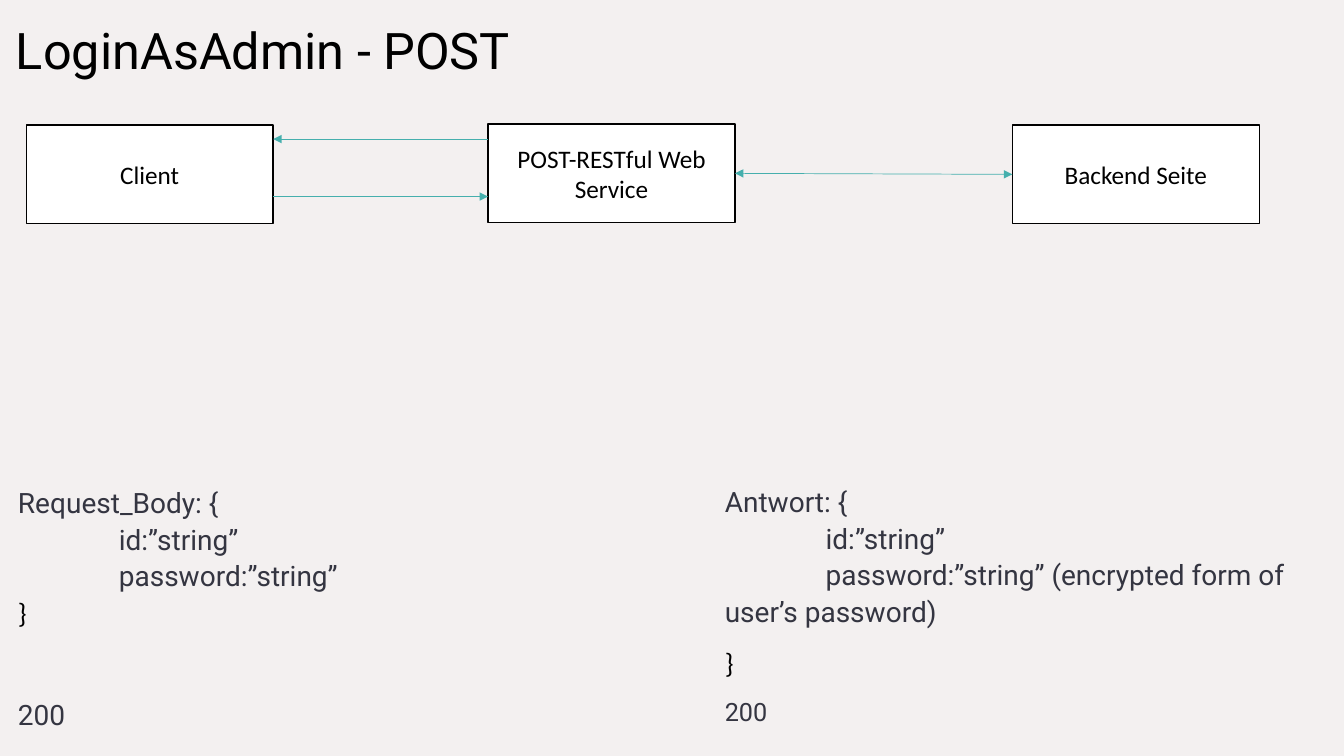
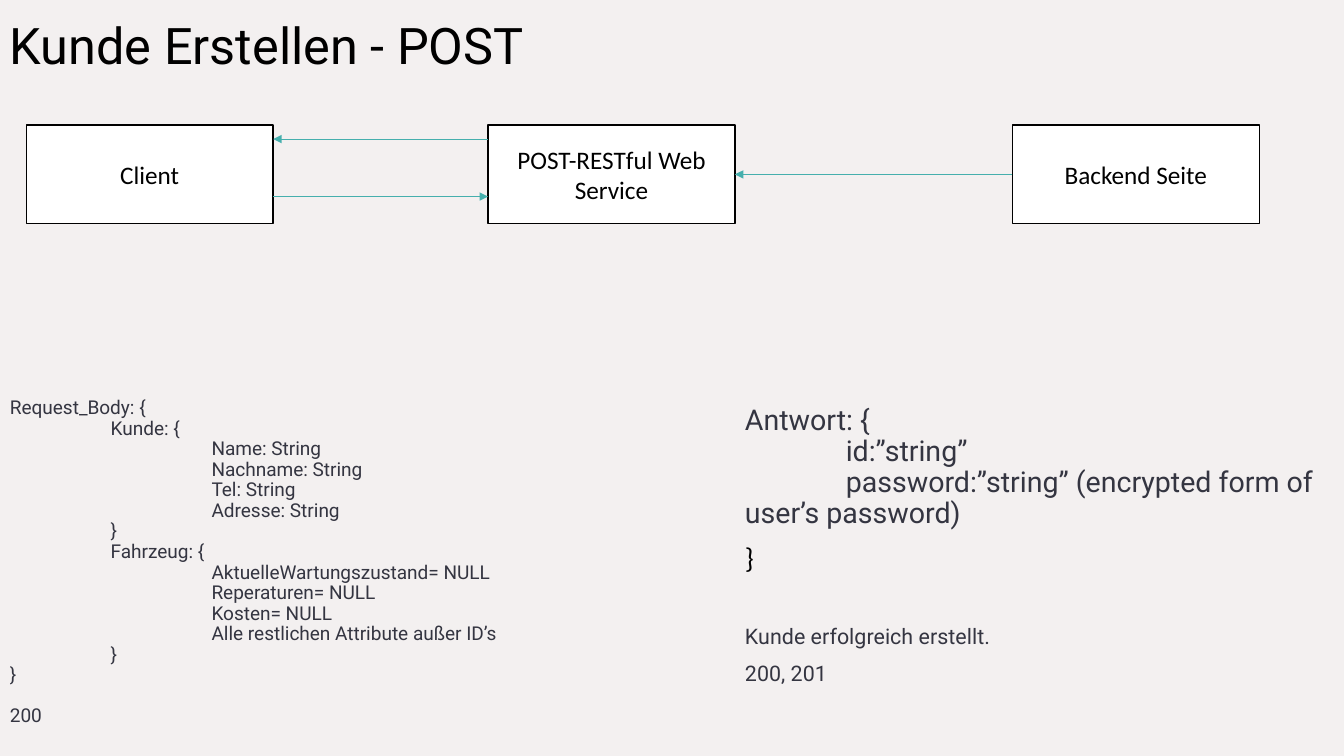
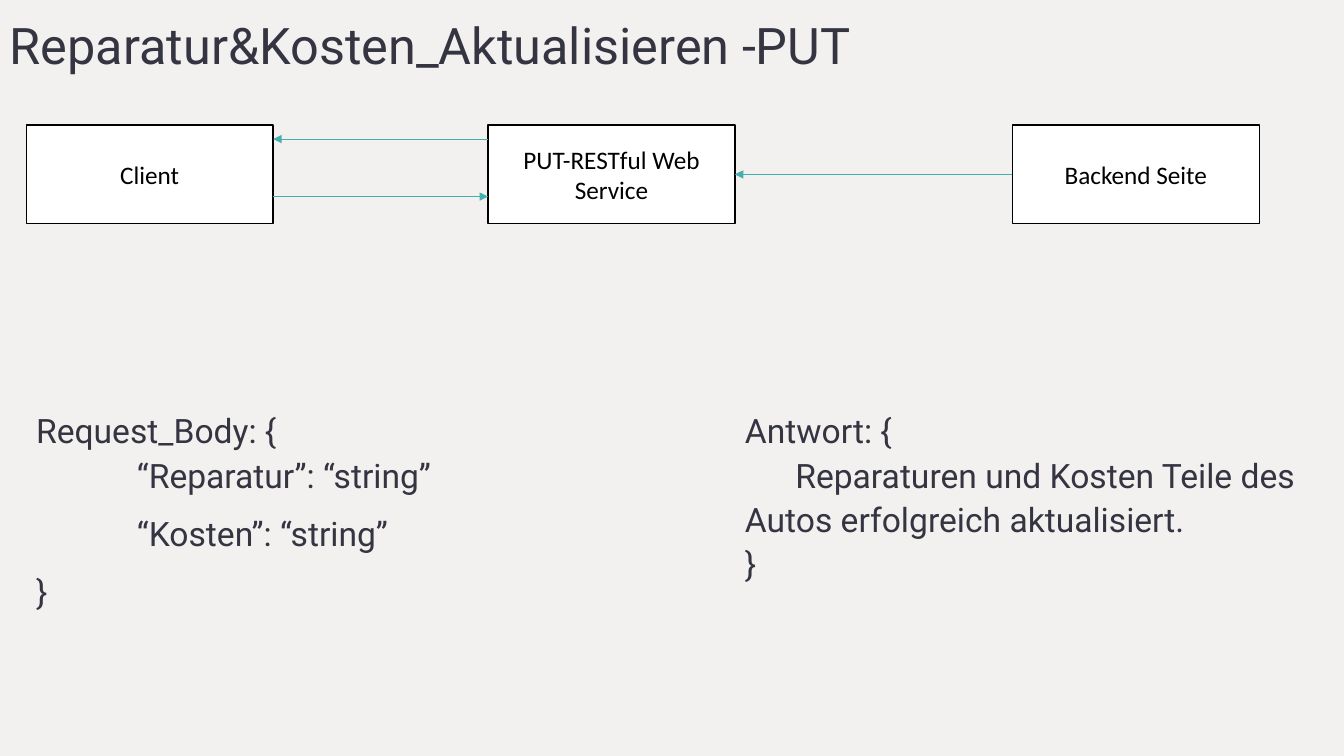
from lxml import etree
from pptx import Presentation
from pptx import util as u
from pptx.dml.color import RGBColor
from pptx.enum import shapes, text
from pptx.oxml.ns import qn

# Shared look
BACKGROUND, BLACK, WHITE, GREY, TEAL = "F3F0F0", "000000", "FFFFFF", "343541", "45AFAD"
PLAIN = ("Roboto", GREY)
DARK = ("Calibri", BLACK)
BOX_WIDTH, BOX_HEIGHT = 2.45, 0.98
BOX_LEFTS = (0.26, 4.84, 10.04)
BOX_TOP = 1.24
REPLY_Y, REQUEST_Y = 1.38, 1.95

# Lines of a body: (text, first-line indent in inches, space before in points,
# then optionally a style and a size)
SLIDES = [
    {
        "title": ("LoginAsAdmin - POST", 0.06, 0.07, BLACK),
        "service": ("POST-RESTful Web Service", 1.23),
        "both_ways": True,
        "bodies": [
            {"at": (0.08, 4.73, 4.78, 2.78), "size": 20, "spacing": 1.1, "lines": [
                ("Request_Body: {", 0, 0),
                ("id:”string”", 1, 0),
                ("password:”string”", 1, 0),
                ("}", 0, 0, DARK),
                ("200", 0, 46),
            ]},
            {"at": (7.09, 4.72, 6.18, 2.78), "size": 20, "spacing": 1.1, "lines": [
                ("Antwort: {", 0, 0),
                ("id:”string”", 1, 0),
                ("password:”string” (encrypted form of user’s password)", 1, 0),
                ("}", 0, 10, DARK),
                ("200", 0, 10, PLAIN, 18),
            ]},
        ],
    },
    {
        "title": ("Kunde Erstellen - POST", 0, 0.02, BLACK),
        "service": ("POST-RESTful Web Service", BOX_TOP),
        "both_ways": False,
        "bodies": [
            {"at": (0, 3.9, 6.67, 3.58), "size": 13.6, "spacing": 0.9, "lines": [
                ("Request_Body: {", 0, 0),
                ("Kunde: {", 1, 0),
                ("Name: String", 2, 0),
                ("Nachname: String", 2, 0),
                ("Tel: String", 2, 0),
                ("Adresse: String", 2, 0),
                ("}", 1, 0),
                ("Fahrzeug: {", 1, 0),
                ("AktuelleWartungszustand= NULL", 2, 0),
                ("Reperaturen= NULL", 2, 0),
                ("Kosten= NULL", 2, 0),
                ("Alle restlichen Attribute außer ID’s", 2, 0),
                ("}", 1, 0),
                ("}", 0, 0),
                ("200", 0, 14.5),
            ]},
            {"at": (7.29, 3.98, 5.92, 3.43), "size": 20.4, "spacing": 0.9, "lines": [
                ("Antwort: {", 0, 0),
                ("id:”string”", 1, 0),
                ("password:”string” (encrypted form of user’s password)", 1, 0),
                ("}", 0, 10, DARK),
                ("Kunde erfolgreich erstellt.", 0, 37, PLAIN, 15.3),
                ("200, 201", 0, 10, PLAIN, 15.3),
            ]},
        ],
    },
    {
        "title": ("Reparatur&Kosten_Aktualisieren -PUT", 0, 0.02, GREY),
        "service": ("PUT-RESTful Web Service", BOX_TOP),
        "both_ways": False,
        "bodies": [
            {"at": (0.26, 3.98, 5.92, 3.43), "size": 24, "spacing": 1.1, "lines": [
                ("Request_Body: {", 0, 0),
                ("“Reparatur”: “string”", 1, 0),
                ("“Kosten”: “string”", 1, 10),
                ("}", 0, 10),
            ]},
            {"at": (7.29, 3.98, 5.92, 3.43), "size": 24, "spacing": 1.1, "lines": [
                ("Antwort: {", 0, 0),
                ("Reparaturen und Kosten Teile des Autos erfolgreich aktualisiert.", 0.5, 0),
                ("}", 0, 0),
            ]},
        ],
    },
]


def color(value):
    return RGBColor.from_string(value)


def add_run(paragraph, words, size, style):
    run = paragraph.add_run()
    run.text = words
    run.font.name, run.font.size = style[0], u.Pt(size)
    run.font.color.rgb = color(style[1])


def add_text_box(slide, at, anchor):
    frame = slide.shapes.add_textbox(*map(u.Inches, at)).text_frame
    frame.word_wrap = True
    frame.vertical_anchor = anchor
    return frame


def add_title(slide, words, left, top, tone):
    frame = add_text_box(slide, (left, top, 13.33 - left, 0.77), text.MSO_ANCHOR.BOTTOM)
    add_run(frame.paragraphs[0], words, 36, ("Roboto", tone))


def add_body(slide, at, size, spacing, lines):
    frame = add_text_box(slide, at, text.MSO_ANCHOR.TOP)
    for index, (words, indent, before, *special) in enumerate(lines):
        paragraph = frame.add_paragraph() if index else frame.paragraphs[0]
        paragraph.line_spacing = spacing
        paragraph.space_before = u.Pt(before)
        properties = paragraph._p.get_or_add_pPr()
        properties.set("marL", "0")
        properties.set("indent", str(u.Inches(indent)))
        style = special[0] if special else PLAIN
        add_run(paragraph, words, special[1] if len(special) > 1 else size, style)


def add_box(slide, words, left, top):
    box = slide.shapes.add_shape(shapes.MSO_SHAPE.RECTANGLE, *map(
        u.Inches, (left, top, BOX_WIDTH, BOX_HEIGHT)))
    box.shadow.inherit = False
    box.fill.solid()
    box.fill.fore_color.rgb = color(WHITE)
    box.line.color.rgb = color(BLACK)
    box.line.width = u.Pt(1)
    box.text_frame.word_wrap = True
    box.text_frame.vertical_anchor = text.MSO_ANCHOR.MIDDLE
    paragraph = box.text_frame.paragraphs[0]
    paragraph.alignment = text.PP_ALIGN.CENTER
    add_run(paragraph, words, 18, DARK)
    return box


def add_arrow(slide, start, end, y, both_ways=False):
    arrow = slide.shapes.add_connector(
        shapes.MSO_CONNECTOR.STRAIGHT, *map(u.Inches, (start, y, end, y)))
    arrow.line.color.rgb = color(TEAL)
    arrow.line.width = u.Pt(0.5)
    line = arrow.line._get_or_add_ln()
    for name in ("a:headEnd", "a:tailEnd") if both_ways else ("a:tailEnd",):
        etree.SubElement(line, qn(name)).set("type", "triangle")
    etree.SubElement(arrow._element.spPr, qn("a:effectLst"))
    return arrow


def add_flow(slide, service, both_ways):
    client_left, service_left, backend_left = BOX_LEFTS
    client_right = client_left + BOX_WIDTH
    add_box(slide, "Client", client_left, BOX_TOP)
    service_box = add_box(slide, service[0], service_left, service[1])
    backend_box = add_box(slide, "Backend Seite", backend_left, BOX_TOP)
    add_arrow(slide, service_left, client_right, REPLY_Y)
    add_arrow(slide, client_right, service_left, REQUEST_Y)
    link = add_arrow(slide, backend_left, service_left + BOX_WIDTH,
                     BOX_TOP + BOX_HEIGHT / 2, both_ways)
    link.begin_connect(backend_box, 1)
    link.end_connect(service_box, 3)


def main():
    presentation = Presentation()
    presentation.slide_width, presentation.slide_height = u.Inches(13.33), u.Inches(7.5)
    fill = presentation.slide_master.background.fill
    fill.solid()
    fill.fore_color.rgb = color(BACKGROUND)
    for content in SLIDES:
        slide = presentation.slides.add_slide(presentation.slide_layouts[6])
        add_title(slide, *content["title"])
        add_flow(slide, content["service"], content["both_ways"])
        for body in content["bodies"]:
            add_body(slide, **body)
    presentation.save("out.pptx")


if __name__ == "__main__":
    main()
